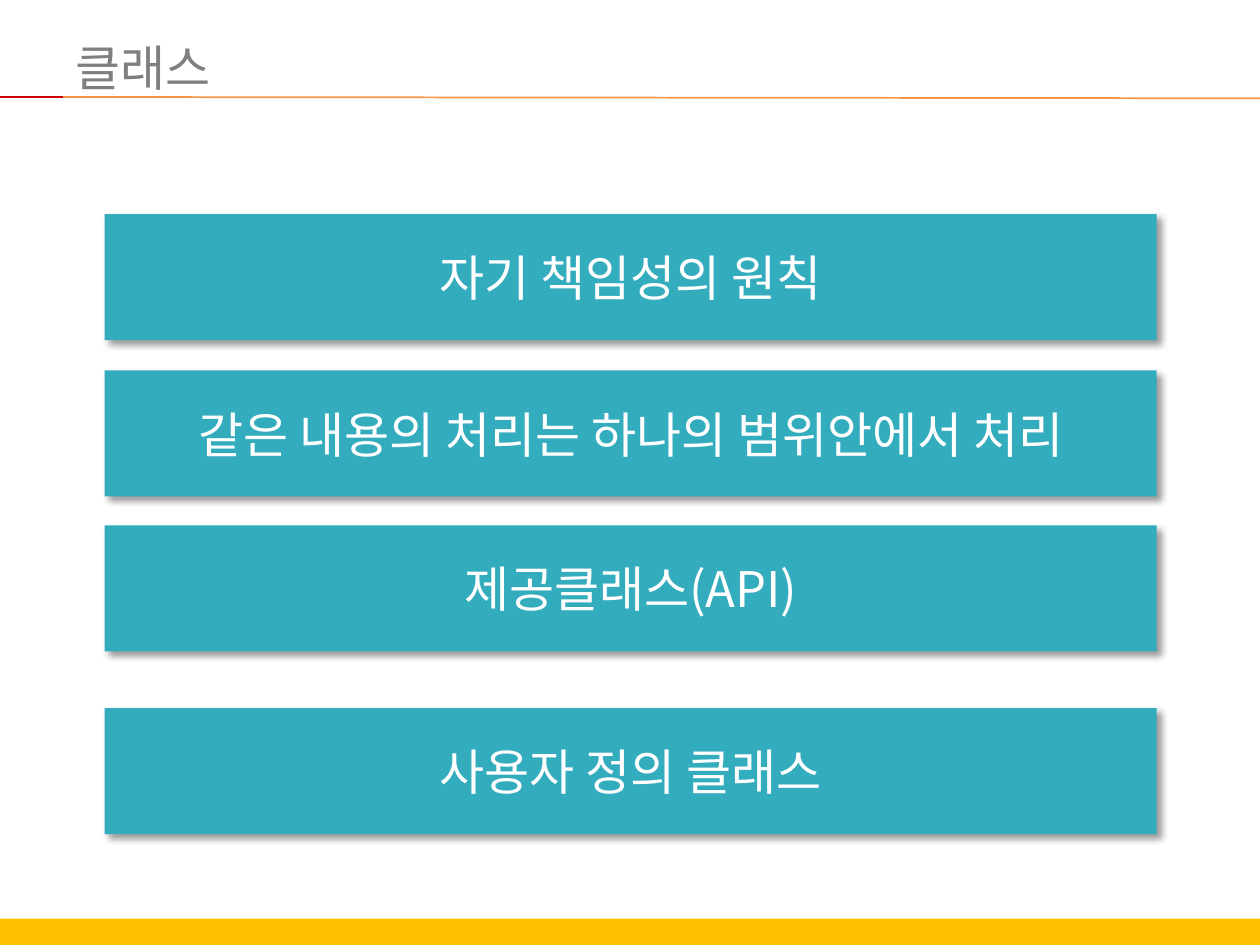
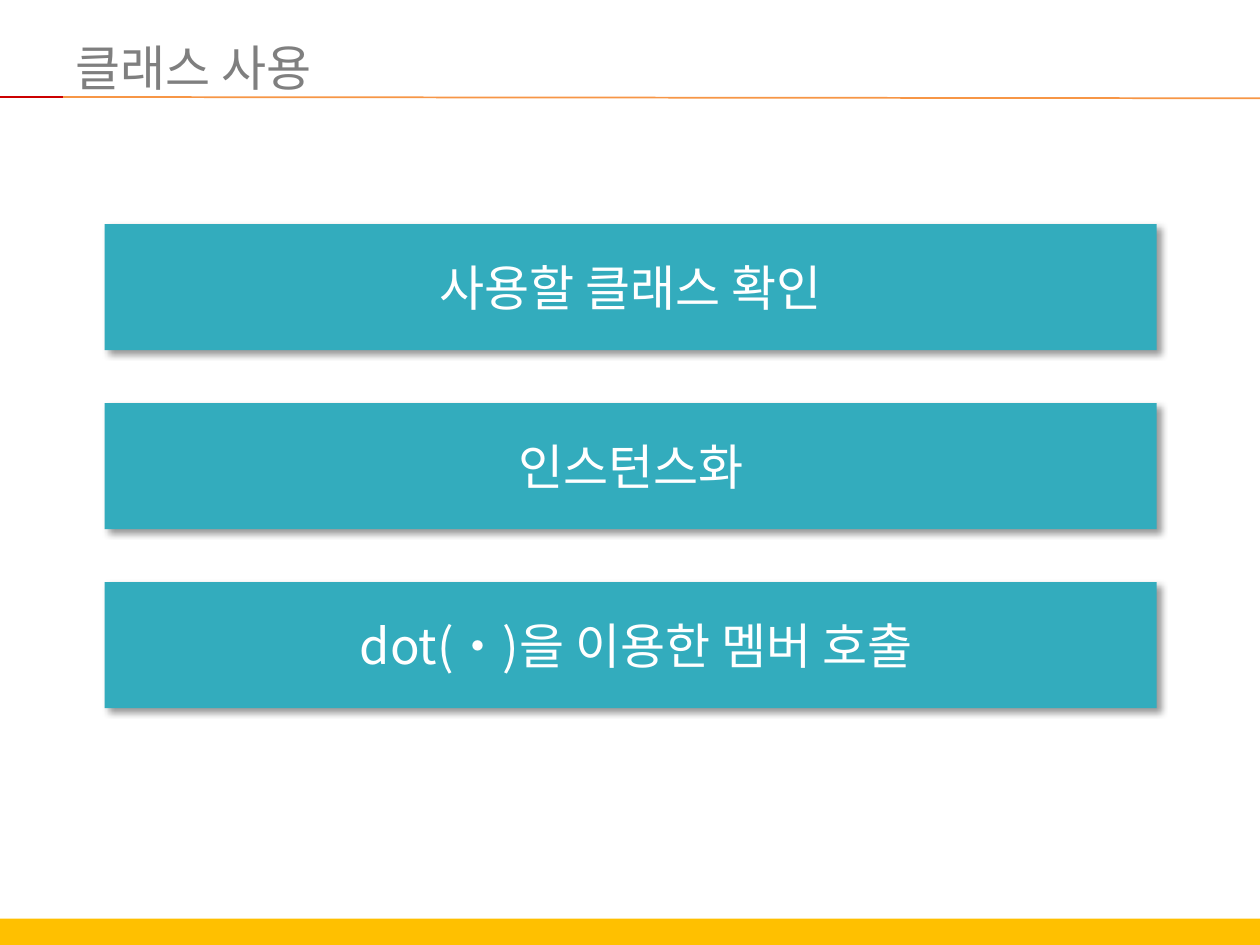
"""Build two slides on classes: a title and a stack of teal bars on each."""
from lxml import etree
from pptx import Presentation
from pptx.dml.color import RGBColor
from pptx.enum import shapes, text
from pptx.oxml.ns import qn
from pptx.util import Inches, Pt

HUES = {"bar": "33ACBD", "band": "FFC000", "rule": "F79646", "tip": "CC0000",
        "title": "7F7F7F", "label": "FFFFFF", "shade": "000000"}
CJK = "Noto Sans CJK JP"
TITLE = {"name": "Calibri", "size": Pt(28), "bold": False}
LABEL = {"name": CJK, "size": Pt(28), "bold": False}
FRAME = {"word_wrap": True, "auto_size": text.MSO_AUTO_SIZE.NONE,
         "vertical_anchor": text.MSO_ANCHOR.MIDDLE}
RULES = [((0.5, 0.77), (10, 0.78), "rule"), ((0, 0.77), (0.5, 0.77), "tip")]
SLIDES = [
    ("클래스", [
        (1.7, "자기 책임성의 원칙"),
        (2.94, "같은 내용의 처리는 하나의 범위안에서 처리"),
        (4.17, "제공클래스(API)"),
        (5.62, "사용자 정의 클래스")]),
    ("클래스 사용", [
        (1.78, "사용할 클래스 확인"),
        (3.2, "인스턴스화"),
        (4.62, " dot(‧)을 이용한 멤버 호출")]),
]


def hue(key):
    return RGBColor.from_string(HUES[key])


def apply(item, values):
    for key, value in values.items():
        setattr(item, key, value)


def write(shape, words, style, color, align):
    frame = shape.text_frame
    apply(frame, FRAME)
    para = frame.paragraphs[0]
    para.alignment = align
    run = para.add_run()
    run.text = words
    apply(run.font, style)
    run.font.color.rgb = hue(color)
    etree.SubElement(run.font._element, qn("a:ea"), typeface=CJK)


def add_box(slide, box, color):
    shape = slide.shapes.add_shape(
        shapes.MSO_SHAPE.RECTANGLE, *map(Inches, box))
    shape.shadow.inherit = False
    shape.fill.solid()
    shape.fill.fore_color.rgb = hue(color)
    shape.line.fill.background()
    return shape


def add_shade(shape):
    effects = shape._element.spPr.find(qn("a:effectLst"))
    shade = etree.SubElement(
        effects, qn("a:outerShdw"), blurRad=str(Pt(4)), dist=str(Pt(3)),
        dir=str(45 * 60000), algn="tl", rotWithShape="0")
    color = etree.SubElement(shade, qn("a:srgbClr"), val=HUES["shade"])
    etree.SubElement(color, qn("a:alpha"), val="40000")


def add_rule(slide, start, end, color):
    rule = slide.shapes.add_connector(
        shapes.MSO_CONNECTOR.STRAIGHT, *map(Inches, start + end))
    rule.line.color.rgb = hue(color)
    rule.line.width = Pt(1)
    etree.SubElement(rule._element.spPr, qn("a:effectLst"))


def add_bar(slide, top, words):
    bar = add_box(slide, (0.83, top, 8.35, 1), "bar")
    add_shade(bar)
    write(bar, words, LABEL, "label", text.PP_ALIGN.CENTER)


def add_page(deck, words):
    slide = deck.slides.add_slide(deck.slide_layouts[5])
    title = slide.shapes.title
    apply(title, {"left": Inches(0.5), "top": Inches(0.3),
                  "width": Inches(9.5), "height": Inches(0.46)})
    write(title, words, TITLE, "title", text.PP_ALIGN.LEFT)
    add_box(slide, (0, 7.29, 10, 0.22), "band")
    for rule in RULES:
        add_rule(slide, *rule)
    return slide


def main():
    deck = Presentation()
    apply(deck, {"slide_width": Inches(10), "slide_height": Inches(7.5)})
    for title, bars in SLIDES:
        slide = add_page(deck, title)
        for top, words in bars:
            add_bar(slide, top, words)
    deck.save("out.pptx")


main()
